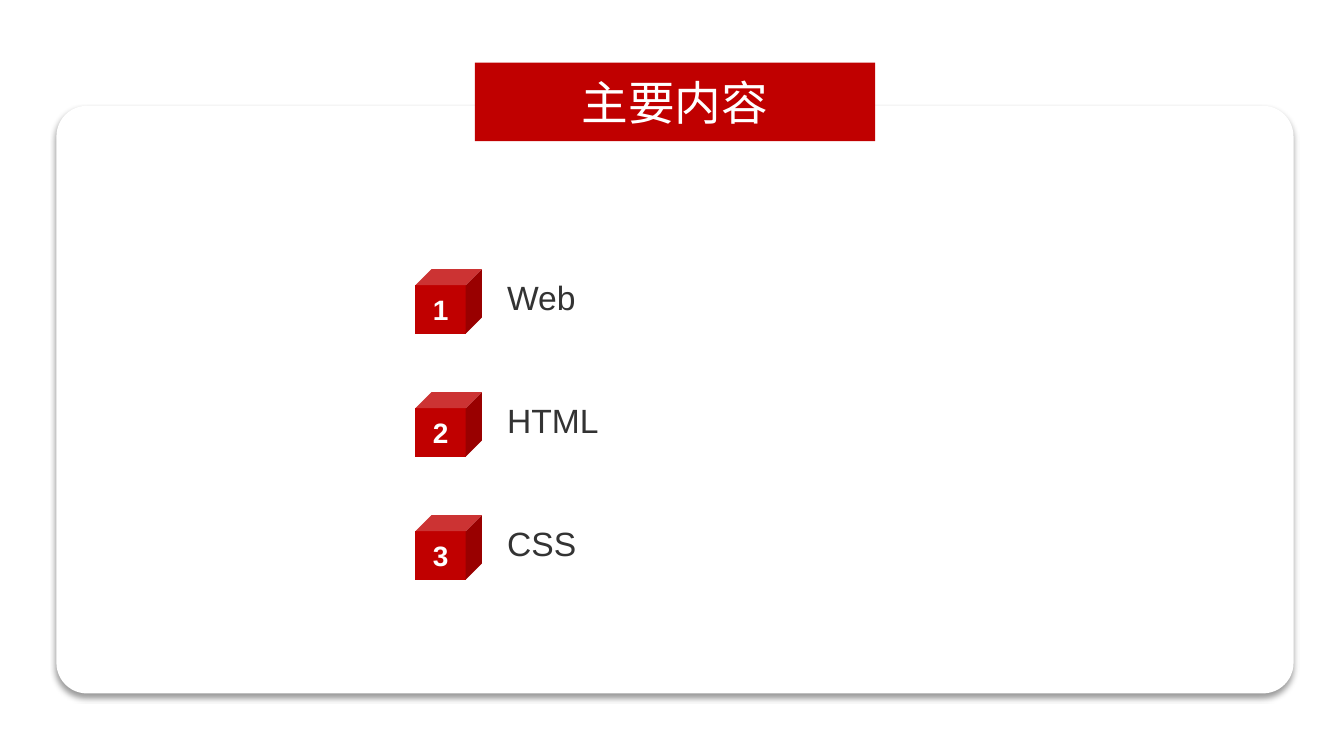
from pptx import Presentation
from pptx.dml.color import RGBColor
from pptx.enum.shapes import MSO_SHAPE
from pptx.enum.text import MSO_ANCHOR, MSO_AUTO_SIZE, PP_ALIGN
from pptx.oxml import parse_xml
from pptx.util import Inches, Pt

ROUND, CUBE = MSO_SHAPE.ROUNDED_RECTANGLE, MSO_SHAPE.CUBE
MIDDLE, FIXED = MSO_ANCHOR.MIDDLE, MSO_AUTO_SIZE.NONE
LEFT, CENTER = PP_ALIGN.LEFT, PP_ALIGN.CENTER
FONT = "Arial"
COLORS = {"red": "C00000", "white": "FFFFFF", "ink": "333333"}
NS = 'xmlns:a="http://schemas.openxmlformats.org/drawingml/2006/main"'
WIDE, HIGH = 13.33, 7.5
CARD = (0.56, 1.05, 12.27, 5.83)
PILL = (4.71, 0.62, 3.97, 0.78)
LIST = (4.12, 2.62, 4.77, 3.66)
TOPICS = ["Web", "HTML", "CSS"]


def color(name):
    return RGBColor.from_string(COLORS[name])


def paint(shape, fill):
    shape.fill.solid()
    shape.fill.fore_color.rgb = color(fill)
    shape.line.fill.background()


def write(shape, text, size, ink, align, bold=False, inset=(0, 0)):
    frame = shape.text_frame
    frame.text = text
    frame.word_wrap = True
    frame.auto_size = FIXED
    frame.vertical_anchor = MIDDLE
    frame.margin_left = frame.margin_right = Inches(inset[0])
    frame.margin_top = frame.margin_bottom = Inches(inset[1])
    para = frame.paragraphs[0]
    para.alignment = align
    font = para.runs[0].font
    font.name, font.size, font.bold = FONT, Pt(size), bold
    font.color.rgb = color(ink)
    return para


def add_card(slide, box):
    card = slide.shapes.add_shape(ROUND, *map(Inches, box))
    card.adjustments[0] = 0.052
    paint(card, "white")
    card._element.spPr.append(parse_xml(
        f'<a:effectLst {NS}><a:outerShdw blurRad="{Pt(4)}" dist="{Pt(3)}" '
        'dir="5400000" algn="t" rotWithShape="0"><a:srgbClr val="000000">'
        '<a:alpha val="40000"/></a:srgbClr></a:outerShdw></a:effectLst>'))


def add_title(slide, box, text):
    title = slide.shapes.title
    title.left, title.top, title.width, title.height = map(Inches, box)
    title._element.spPr.append(parse_xml(
        f'<a:prstGeom {NS} prst="roundRect"><a:avLst>'
        '<a:gd name="adj" fmla="val 50000"/></a:avLst></a:prstGeom>'))
    paint(title, "red")
    write(title, text, 33.3, "white", CENTER, inset=(0.1, 0))
    slide.shapes._spTree.append(title._element)


def add_topic(slide, box, number, text):
    left, top, width, height = box
    indent = 0.91
    label = slide.shapes.add_textbox(
        *map(Inches, (left + indent, top, width - indent, height)))
    write(label, text, 24, "ink", LEFT).line_spacing = 0.9
    cube = slide.shapes.add_shape(
        CUBE, *map(Inches, (left, top + 0.05, 0.66, 0.64)))
    cube.shadow.inherit = False
    paint(cube, "red")
    write(cube, str(number), 20, "white", CENTER, True, (0.1, 0.05))


def add_list(slide, box, topics):
    left, top, width, height = box
    pitch = height / len(topics)
    for row, topic in enumerate(topics):
        add_topic(slide, (left, top + row * pitch, width, 0.71), row + 1, topic)


def main():
    deck = Presentation()
    deck.slide_width, deck.slide_height = Inches(WIDE), Inches(HIGH)
    slide = deck.slides.add_slide(deck.slide_layouts[5])
    add_card(slide, CARD)
    add_title(slide, PILL, "主要内容")
    add_list(slide, LIST, TOPICS)
    deck.save("out.pptx")


if __name__ == "__main__":
    main()
